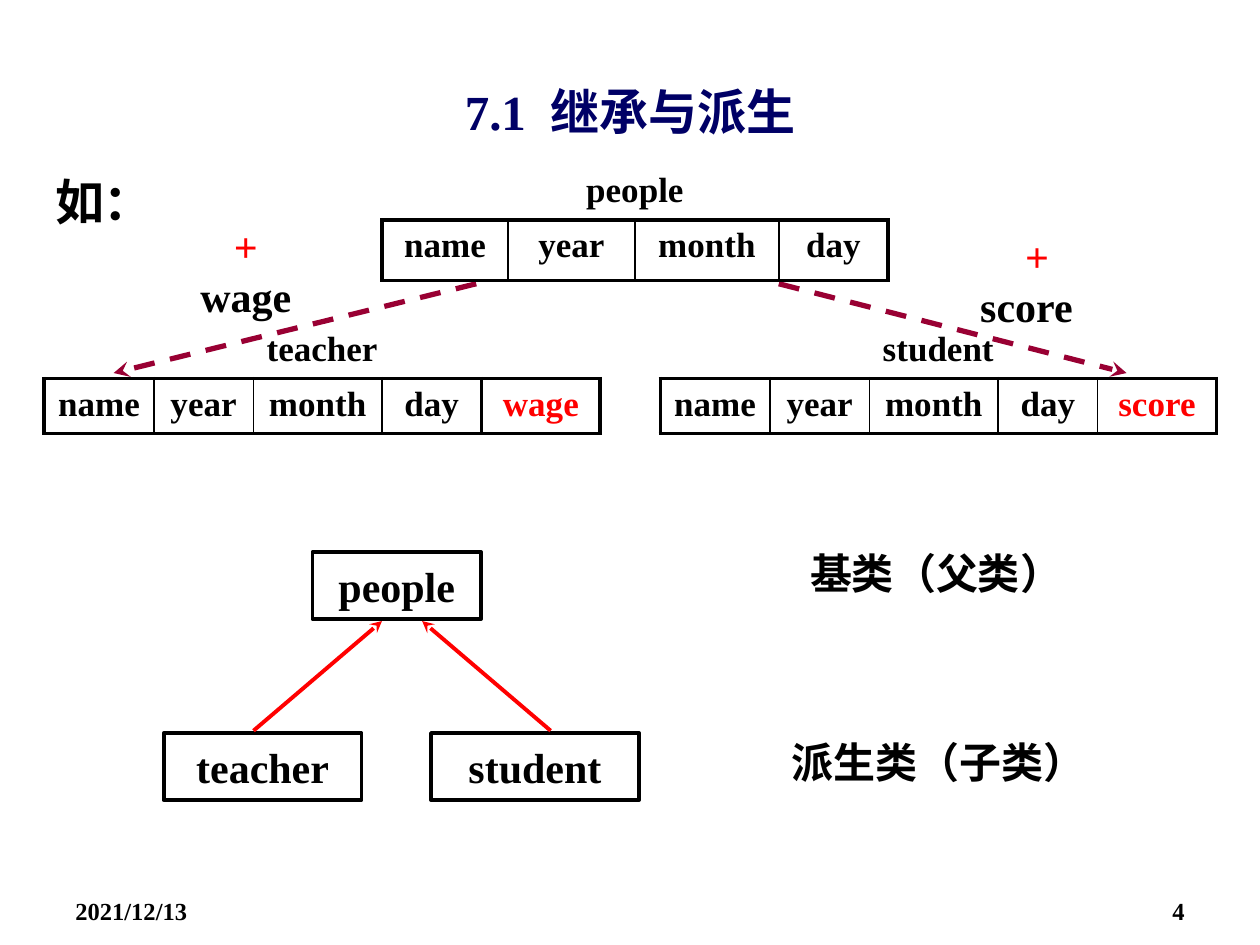
from dataclasses import dataclass

from lxml.etree import SubElement
from pptx import Presentation
from pptx.dml.color import RGBColor
from pptx.enum.dml import MSO_LINE
from pptx.enum.shapes import MSO_CONNECTOR, MSO_SHAPE
from pptx.enum.text import MSO_ANCHOR, PP_ALIGN
from pptx.oxml.ns import qn
from pptx.util import Cm, Pt


@dataclass(frozen=True)
class Theme:
    latin: str = "Times New Roman"
    label: str = "Arial"
    ink: str = "000000"
    title: str = "000066"
    accent: str = "FF0000"
    derive: str = "990033"
    heading_pt: int = 28
    body_pt: int = 24
    cell_pt: int = 20
    footer_pt: int = 14
    heavy_pt: float = 2.25
    thin_pt: float = 1
    dash_pt: float = 3


THEME = Theme()
LEFT, CENTER, RIGHT = PP_ALIGN.LEFT, PP_ALIGN.CENTER, PP_ALIGN.RIGHT


def add_run(p, text, size, color=THEME.ink, font=THEME.latin):
    r = p.add_run()
    r.text = text
    r.font.name = font
    r.font.size = Pt(size)
    r.font.bold = True
    r.font.color.rgb = RGBColor.from_string(color)


def add_text(s, box, lines, size, font=THEME.latin, anchor=MSO_ANCHOR.TOP, wrap=True):
    tf = s.shapes.add_textbox(*map(Cm, box)).text_frame
    tf.word_wrap = wrap
    tf.vertical_anchor = anchor
    for i, (text, align, color) in enumerate(lines):
        p = tf.add_paragraph() if i else tf.paragraphs[0]
        p.alignment = align
        add_run(p, text, size, color, font)


def add_arrow(s, start, end, color, width, dashed=False):
    points = map(Cm, (*start, *end))
    line = s.shapes.add_connector(MSO_CONNECTOR.STRAIGHT, *points)
    line.line.color.rgb = RGBColor.from_string(color)
    line.line.width = Pt(width)
    if dashed:
        line.line.dash_style = MSO_LINE.DASH
    props = line._element.spPr
    SubElement(props.find(qn("a:ln")), qn("a:tailEnd"), type="stealth")
    SubElement(props, qn("a:effectLst"))


def add_class_box(s, box, name):
    sp = s.shapes.add_shape(MSO_SHAPE.RECTANGLE, *map(Cm, box))
    sp.shadow.inherit = False
    sp.fill.background()
    sp.line.color.rgb = RGBColor.from_string(THEME.ink)
    sp.line.width = Pt(THEME.heavy_pt)
    tf = sp.text_frame
    tf.word_wrap = True
    tf.vertical_anchor = MSO_ANCHOR.MIDDLE
    tf.paragraphs[0].alignment = CENTER
    add_run(tf.paragraphs[0], name, THEME.body_pt)


def style_cell(cell, left=0, right=0, top=0, bottom=0):
    props = cell._tc.get_or_add_tcPr()
    for side, width in zip("LRTB", (left, right, top, bottom)):
        ln = SubElement(props, qn(f"a:ln{side}"), w=str(Pt(width)))
        if width:
            fill = SubElement(ln, qn("a:solidFill"))
            SubElement(fill, qn("a:srgbClr"), val=THEME.ink)
        else:
            SubElement(ln, qn("a:noFill"))
    cell.fill.background()


def fill_cell(cell, text, color=THEME.ink):
    p = cell.text_frame.paragraphs[0]
    p.alignment = CENTER
    add_run(p, text, THEME.cell_pt, color)


def add_record(s, left, top, heights, name, fields, widths, added=None, heavy_rules=()):
    n = len(fields)
    frame = s.shapes.add_table(2, n, Cm(left), Cm(top), Cm(sum(widths)), Cm(sum(heights)))
    table = frame.table
    table.first_row = table.horz_banding = False
    for row, height in zip(table.rows, heights):
        row.height = Cm(height)
    heavy = {0, n, *heavy_rules}
    rules = [THEME.heavy_pt if i in heavy else THEME.thin_pt for i in range(n + 1)]
    for i, (field, width) in enumerate(zip(fields, widths)):
        table.columns[i].width = Cm(width)
        style_cell(table.cell(0, i), bottom=THEME.heavy_pt)
        cell = table.cell(1, i)
        style_cell(cell, rules[i], rules[i + 1], THEME.heavy_pt, THEME.heavy_pt)
        fill_cell(cell, field, THEME.accent if field == added else THEME.ink)
    table.cell(0, 0).merge(table.cell(0, n - 1))
    fill_cell(table.cell(0, 0), name)


def add_frame(s):
    for left, text, align in ((1.27, "2021/12/13", LEFT), (18.21, "4", RIGHT)):
        add_text(s, (left, 17.93, 5.92, 0.74), [(text, align, THEME.ink)], THEME.footer_pt)
    add_text(s, (1.27, 1.37, 22.86, 1.75), [("7.1  继承与派生", CENTER, THEME.title)],
             THEME.heading_pt, anchor=MSO_ANCHOR.MIDDLE)
    add_text(s, (0.86, 3.33, 5, 1.5), [("如：", LEFT, THEME.ink)], THEME.heading_pt)


def add_records(s):
    additions = (
        ("wage", CENTER, (3.1, 4.32, 3.71, 2.29), (9.6, 5.72), (2.29, 7.52)),
        ("score", LEFT, (19.51, 4.52, 2.79, 2.29), (15.7, 5.72), (22.71, 7.52)),
    )
    for field, align, box, start, end in additions:
        lines = [("+", CENTER, THEME.accent), (field, align, THEME.ink)]
        add_text(s, box, lines, THEME.body_pt)
        add_arrow(s, start, end, THEME.derive, THEME.dash_pt, dashed=True)

    base = ["name", "year", "month", "day"]
    add_record(s, 7.7, 3.33, (1.09, 1.22), "people", base, (2.54, 2.56, 2.9, 2.2))
    widths = (2.21, 2.01, 2.59, 2.01, 2.39)
    for left, name, field, heavy in ((0.89, "teacher", "wage", (4,)),
                                     (13.31, "student", "score", ())):
        add_record(s, left, 6.53, (1.1, 1.1), name, base + [field], widths, field, heavy)


def add_hierarchy(s):
    for left, top, width, name in ((6.3, 11.13, 3.4, "people"),
                                   (3.3, 14.78, 3.99, "teacher"),
                                   (8.69, 14.78, 4.19, "student")):
        add_class_box(s, (left, top, width, 1.35), name)
    for start, end in ((5.11, 7.7), (11.1, 8.51)):
        add_arrow(s, (start, 14.73), (end, 12.52), THEME.accent, THEME.heavy_pt)
    for left, top, width, text in ((16.08, 10.92, 5.61, "基类（父类）"),
                                   (15.7, 14.73, 6.48, "派生类（子类）")):
        add_text(s, (left, top, width, 1.27), [(text, LEFT, THEME.ink)],
                 THEME.body_pt, font=THEME.label, wrap=False)


def main():
    prs = Presentation()
    prs.slide_width, prs.slide_height = Cm(25.4), Cm(19.05)
    s = prs.slides.add_slide(prs.slide_layouts[6])
    add_frame(s)
    add_records(s)
    add_hierarchy(s)
    prs.save("out.pptx")


if __name__ == "__main__":
    main()
